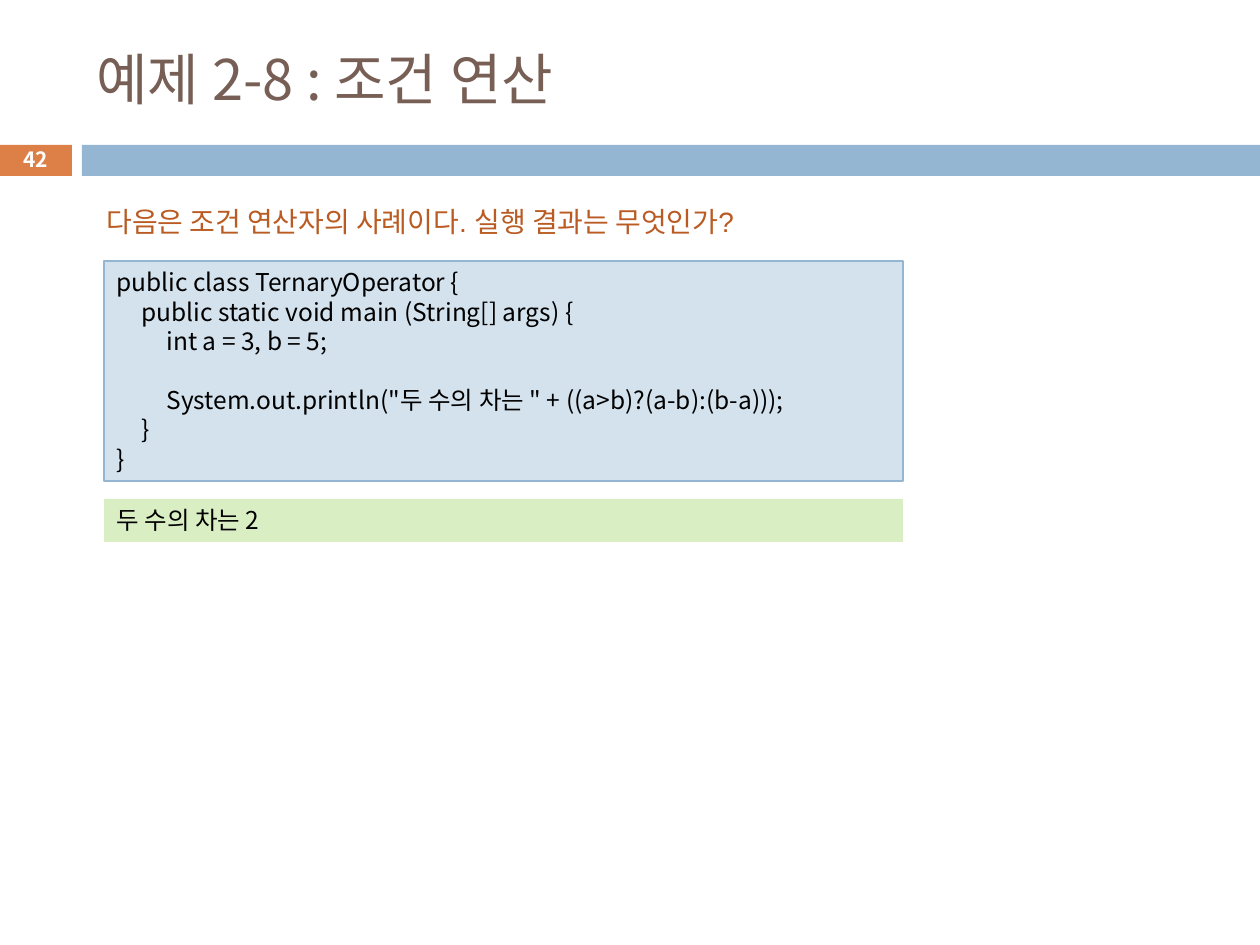
import dataclasses

import pptx
import pptx.dml.color
import pptx.enum.shapes
import pptx.enum.text
import pptx.oxml
import pptx.oxml.ns
import pptx.util

PX = 914400 / 126
ANCHOR = pptx.enum.text.MSO_ANCHOR
ALIGN = pptx.enum.text.PP_ALIGN


def px(length):
    return pptx.util.Emu(round(length * PX))


def rgb(value):
    return pptx.dml.color.RGBColor.from_string(value)


@dataclasses.dataclass(frozen=True)
class Theme:
    font: str = "Noto Sans CJK KR"
    question_font: str = "Arial"
    orange: str = "DD8047"
    blue: str = "94B6D2"
    pale_blue: str = "D4E2ED"
    pale_green: str = "DAEEC4"
    brown: str = "775F55"
    rust: str = "B95B22"
    black: str = "000000"
    white: str = "FFFFFF"
    title_size: float = 32
    question_size: float = 16
    code_size: float = 14
    number_size: float = 12
    code_pitch: float = 16.8
    tab: int = 25


class SlideBuilder:
    def __init__(self, slide, theme):
        self.slide = slide
        self.theme = theme

    def band(self, box, fill, line=None):
        shape = self.slide.shapes.add_shape(
            pptx.enum.shapes.MSO_SHAPE.RECTANGLE, *map(px, box))
        shape.shadow.inherit = False
        shape.fill.solid()
        shape.fill.fore_color.rgb = rgb(fill)
        if line:
            shape.line.color.rgb = rgb(line)
            shape.line.width = pptx.util.Pt(0.75)
        else:
            shape.line.fill.background()
        return shape

    def style_run(self, run, size, color, font=None, bold=False):
        values = {"name": font or self.theme.font,
                  "size": pptx.util.Pt(size), "bold": bold}
        for name, value in values.items():
            setattr(run.font, name, value)
        run.font.color.rgb = rgb(color)
        east_asian = pptx.oxml.parse_xml(
            f'<a:ea {pptx.oxml.ns.nsdecls("a")} typeface="{self.theme.font}"/>')
        run.font._element.find(pptx.oxml.ns.qn("a:latin")).addnext(east_asian)

    def label(self, box, text, size, color, font=None, bold=False,
              anchor=ANCHOR.TOP, align=ALIGN.LEFT, wrap=True):
        frame = self.slide.shapes.add_textbox(*map(px, box)).text_frame
        frame.word_wrap = wrap
        frame.vertical_anchor = anchor
        paragraph = frame.paragraphs[0]
        paragraph.alignment = align
        run = paragraph.add_run()
        run.text = text
        self.style_run(run, size, color, font, bold)

    def add_tabs(self, paragraph, count=2):
        stops = "".join(f'<a:tab pos="{px(self.theme.tab * step)}" algn="l"/>'
                        for step in range(1, count + 1))
        paragraph._p.get_or_add_pPr().append(pptx.oxml.parse_xml(
            f'<a:tabLst {pptx.oxml.ns.nsdecls("a")}>{stops}</a:tabLst>'))

    def code_panel(self, box, lines, fill, line=None):
        """Draw a filled panel with one paragraph per line of code or output."""
        frame = self.band(box, fill, line).text_frame
        frame.word_wrap = True
        frame.vertical_anchor = ANCHOR.TOP
        for index, text in enumerate(lines):
            paragraph = frame.add_paragraph() if index else frame.paragraphs[0]
            self.add_tabs(paragraph)
            paragraph.alignment = ALIGN.LEFT
            paragraph.line_spacing = pptx.util.Pt(self.theme.code_pitch)
            if text:
                run = paragraph.add_run()
                run.text = text
                self.style_run(run, self.theme.code_size, self.theme.black)


CODE = [
    "public class TernaryOperator {",
    "\tpublic static void main (String[] args) {",
    "\t\tint a = 3, b = 5;",
    "",
    '\t\tSystem.out.println("두 수의 차는 " + ((a>b)?(a-b):(b-a)));',
    "\t}",
    "}",
]


def main():
    presentation = pptx.Presentation()
    presentation.slide_width = px(1260)
    presentation.slide_height = px(945)
    theme = Theme()
    slide = presentation.slides.add_slide(presentation.slide_layouts[6])
    builder = SlideBuilder(slide, theme)

    builder.band((-1, 145, 73, 31), theme.orange)
    builder.band((82, 145, 1178, 31), theme.blue)
    builder.label((84, 32, 1124, 93), "예제 2-8 : 조건 연산",
                  theme.title_size, theme.brown, anchor=ANCHOR.MIDDLE)
    builder.code_panel((104, 261, 799, 220), CODE, theme.pale_blue, theme.blue)
    builder.label((94, 198, 726, 47),
                  "다음은 조건 연산자의 사례이다. 실행 결과는 무엇인가?",
                  theme.question_size, theme.rust, theme.question_font, wrap=False)
    builder.code_panel((104, 499, 799, 43), ["두 수의 차는 2"], theme.pale_green)
    builder.label((-1, 142, 73, 34), "42", theme.number_size, theme.white,
                  bold=True, anchor=ANCHOR.MIDDLE, align=ALIGN.CENTER)

    presentation.save("out.pptx")


if __name__ == "__main__":
    main()
